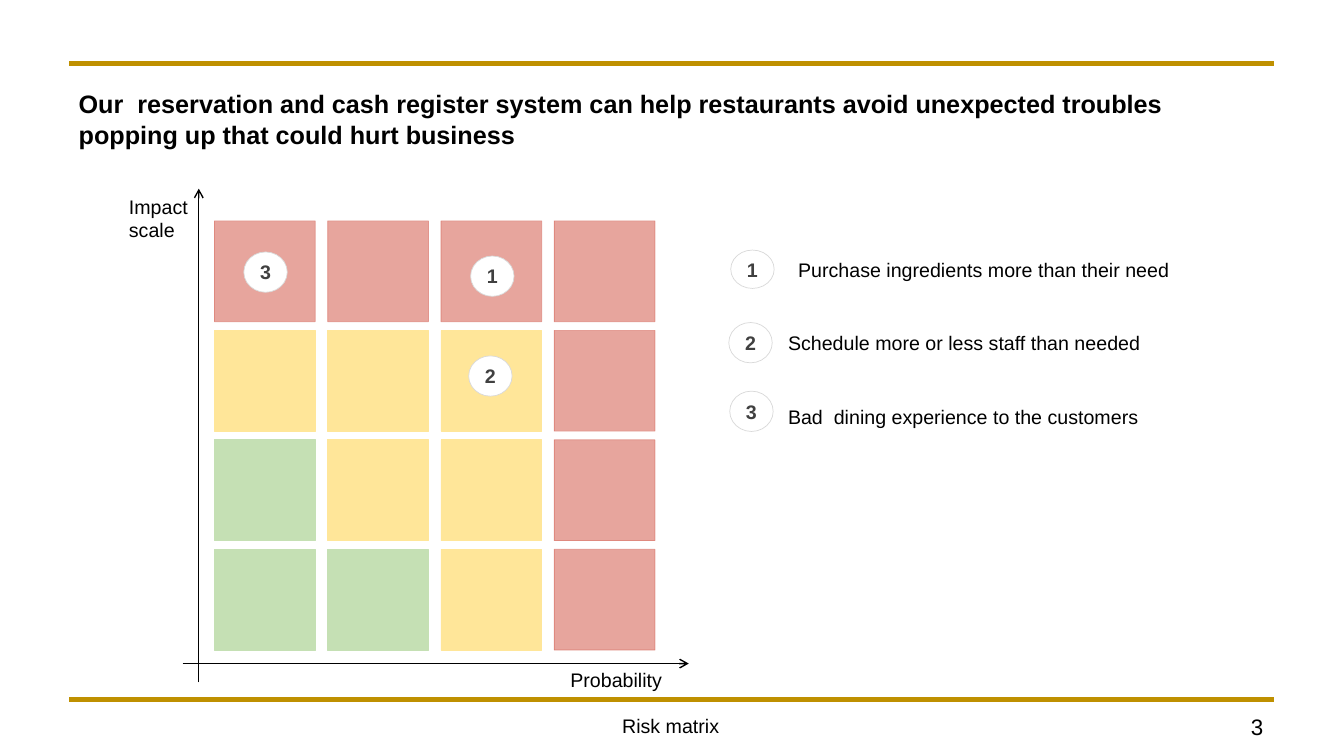
"""Build a risk matrix slide with a numbered list of restaurant risks."""
import pptx
import pptx.util
import pptx.dml.color
import pptx.enum.shapes
import pptx.enum.text
import pptx.oxml.ns
import lxml.etree

Pt = pptx.util.Pt
RGB = pptx.dml.color.RGBColor
Align = pptx.enum.text.PP_ALIGN
Anchor = pptx.enum.text.MSO_ANCHOR
Shape = pptx.enum.shapes.MSO_SHAPE
qn = pptx.oxml.ns.qn

BLACK = RGB(0x00, 0x00, 0x00)
WHITE = RGB(0xFF, 0xFF, 0xFF)
GOLD = RGB(0xBF, 0x90, 0x00)
DARK = RGB(0x40, 0x40, 0x40)
GREY = RGB(0xD9, 0xD9, 0xD9)
GREEN = RGB(0xC5, 0xE0, 0xB4)
YELLOW = RGB(0xFF, 0xE6, 0x99)
RED = RGB(0xD2, 0x55, 0x47)

deck = pptx.Presentation()
deck.slide_width, deck.slide_height = Pt(960), Pt(540)
slide = deck.slides.add_slide(deck.slide_layouts[5])
shapes = slide.shapes


def write(text, at=None, shape=None, size=14, color=BLACK, bold=False,
          align=Align.LEFT, anchor=Anchor.TOP, wrap=False, pad=(7.2, 3.6)):
    if shape is None:
        shape = shapes.add_textbox(*map(Pt, at))
    frame = shape.text_frame
    frame.word_wrap = wrap
    frame.auto_size = pptx.enum.text.MSO_AUTO_SIZE.NONE
    frame.vertical_anchor = anchor
    frame.margin_left = frame.margin_right = Pt(pad[0])
    frame.margin_top = frame.margin_bottom = Pt(pad[1])
    frame.text = text
    for para in frame.paragraphs:
        para.alignment = align
        font = para.runs[0].font
        font.name, font.size, font.bold = "Arial", Pt(size), bold
        font.color.rgb = color


def draw(start, end, color, width, arrow=False):
    line = shapes.add_connector(
        pptx.enum.shapes.MSO_CONNECTOR.STRAIGHT, *map(Pt, start + end))
    line.line.color.rgb = color
    line.line.width = Pt(width)
    props = line._element.spPr
    if arrow:
        lxml.etree.SubElement(props.find(qn("a:ln")), qn("a:tailEnd"), type="arrow")
    lxml.etree.SubElement(props, qn("a:effectLst"))


for y in (45.4, 499.7):
    draw((49.3, y), (910, y), GOLD, 3)

title = shapes.title
title.left, title.top, title.width, title.height = map(Pt, (49, 59.8, 862, 51))
write("Our  reservation and cash register system can help restaurants avoid "
      "unexpected troubles popping up that could hurt business",
      shape=title, size=18, bold=True, wrap=True)

draw((130.5, 474), (492, 474), BLACK, 1, arrow=True)
draw((142, 487.5), (142, 134.8), BLACK, 1, arrow=True)

tones = {"R": RED, "Y": YELLOW, "G": GREEN}
for row, codes in enumerate(("RRRR", "YYYR", "GYYR", "GGYR")):
    for col, code in enumerate(codes):
        cell = shapes.add_shape(Shape.RECTANGLE, Pt(153.2 + 80.9 * col),
                                Pt(157.8 + 78.2 * row), Pt(72), Pt(72))
        cell.shadow.inherit = False
        cell.fill.solid()
        cell.fill.fore_color.rgb = cell.line.color.rgb = tones[code]
        cell.line.width = Pt(0.5)
        if code == "R":
            for tint in cell._element.spPr.iter(qn("a:srgbClr")):
                lxml.etree.SubElement(tint, qn("a:alpha"), val="53000")

discs = (("1", 522, 178.6, 27.4), ("2", 520.6, 230.4, 28.8), ("3", 521.3, 279.4, 28.8),
         ("1", 336.2, 182.9, 28.8), ("2", 334.8, 254.2, 28.8), ("3", 174.2, 180, 28.8))
for mark, x, y, height in discs:
    disc = shapes.add_shape(Shape.OVAL, Pt(x), Pt(y), Pt(31), Pt(height))
    disc.shadow.inherit = False
    disc.fill.solid()
    disc.fill.fore_color.rgb = WHITE
    disc.line.color.rgb = GREY
    disc.line.width = Pt(0.5)
    write(mark, shape=disc, color=DARK, bold=True, align=Align.CENTER,
          anchor=Anchor.MIDDLE, pad=(0, 0))

labels = (("Purchase ingredients more than their need", (563, 180.7, 284.4, 24.5)),
          ("Schedule more or less staff than needed", (555.8, 232.6, 267, 24.5)),
          ("Bad  dining experience to the customers ", (555.8, 285.8, 270, 24.5)),
          ("Impact \nscale", (85, 135.4, 56.9, 41)),
          ("Probability", (400.3, 473.8, 81.4, 24.5)))
for text, at in labels:
    write(text, at)

write("Risk matrix", (437, 506.2, 84.2, 24.5), align=Align.CENTER)
write("3", (885.6, 506.2, 23.8, 26.6), size=16, align=Align.RIGHT)

deck.save("out.pptx")
